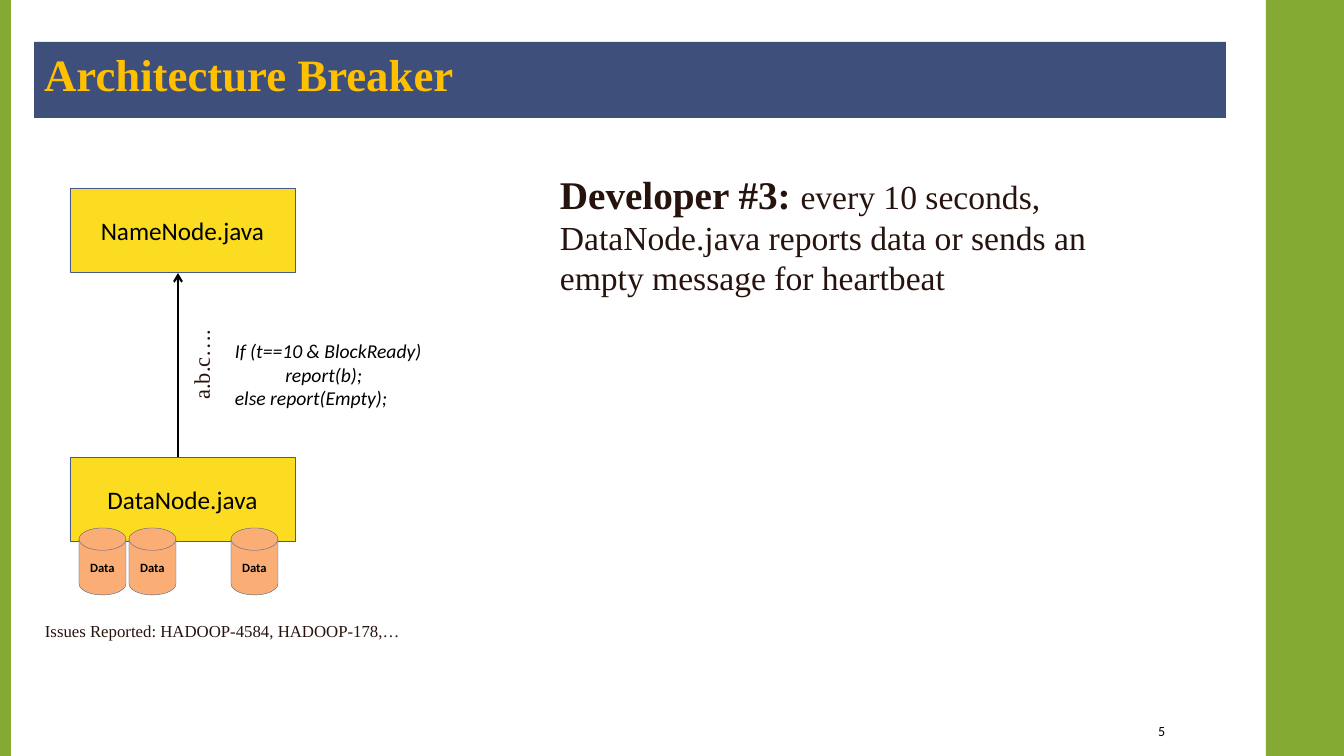
"""Builds the Architecture Breaker slide about heartbeat reports between two nodes."""
from lxml.etree import SubElement
from pptx import Presentation
from pptx.dml.color import RGBColor
from pptx.enum.shapes import MSO_CONNECTOR as Connector, MSO_SHAPE as Shape
from pptx.enum.text import MSO_ANCHOR as Anchor, MSO_AUTO_SIZE as AutoSize, PP_ALIGN as Align
from pptx.oxml.ns import qn
from pptx.util import Emu, Pt

SERIF, SANS = "Times New Roman", "Calibri"
BLACK, BROWN, GREEN, EDGE = "000000", "27130D", "84AA33", "475A8D"


def px(*lengths):
    return [Emu(round(length * 914400 / 100.8)) for length in lengths]


def write(para, text, size, face, hex_color, bold=False, italic=False):
    span = para.add_run()
    span.text = text
    span.font.size, span.font.name = Pt(size), face
    span.font.bold, span.font.italic = bold, italic
    span.font.color.rgb = RGBColor.from_string(hex_color)


deck = Presentation()
deck.slide_width, deck.slide_height = px(1344, 756)
page = deck.slides.add_slide(deck.slide_layouts[5])
shapes = page.shapes

title = shapes.title
title.left, title.top, title.width, title.height = px(34, 42, 1192, 76)
title.fill.solid()
title.fill.fore_color.rgb = RGBColor.from_string("3F4F7C")
title.text_frame.auto_size = AutoSize.NONE
title.text_frame.vertical_anchor = Anchor.TOP
title_para = title.text_frame.paragraphs[0]
title_para.alignment = Align.LEFT
write(title_para, "Architecture Breaker", 32, SERIF, "FFC000", bold=True)

blocks = [
    (Shape.RECTANGLE, (1266, 0, 78, 756), GREEN, "", 0),
    (Shape.RECTANGLE, (0, 0, 11, 756), GREEN, "", 0),
    (Shape.RECTANGLE, (70, 188, 225, 84), "FBDC21", "NameNode.java", 18),
    (Shape.RECTANGLE, (70, 457, 225, 84), "FBDC21", "DataNode.java", 18),
]
for left in (79, 129, 231):
    blocks.append((Shape.FLOWCHART_MAGNETIC_DISK, (left, 528, 47, 67), "FAAE76", "Data", 9))

for kind, place, fill, label, size in blocks:
    block = shapes.add_shape(kind, *px(*place))
    block.shadow.inherit = False
    block.fill.solid()
    block.fill.fore_color.rgb = RGBColor.from_string(fill)
    if not label:
        block.line.fill.background()
        continue
    block.line.color.rgb = RGBColor.from_string(EDGE)
    block.line.width = Pt(0.25)
    block.text_frame.word_wrap = False
    block.text_frame.vertical_anchor = Anchor.MIDDLE
    block_para = block.text_frame.paragraphs[0]
    block_para.alignment = Align.CENTER
    write(block_para, label, size, SANS, BLACK, bold=kind == Shape.FLOWCHART_MAGNETIC_DISK)

arrow = shapes.add_connector(Connector.STRAIGHT, *px(178, 457, 178, 273))
arrow.line.color.rgb = RGBColor.from_string(BLACK)
arrow.line.width = Pt(1.5)
SubElement(arrow.line._get_or_add_ln(), qn("a:tailEnd"), type="arrow")
SubElement(arrow._element.spPr, qn("a:effectLst"))

notes = [
    ((155, 345, 92, 37), False, [[("a.b.c….", 16, SERIF, BROWN)]]),
    ((225, 334, 215, 82), True, [
        [(line, 14, SANS, BLACK, False, True)]
        for line in ("If (t==10 & BlockReady)", "\treport(b);", "else report(Empty);")
    ]),
    ((550, 165, 558, 139), True, [[
        ("Developer #3: ", 28, SERIF, BROWN, True),
        ("every 10 seconds, DataNode.java reports data or sends an empty message for heartbeat",
         24, SERIF, BROWN),
    ]]),
    ((35, 616, 378, 30), False, [[("Issues Reported: HADOOP-4584, HADOOP-178,…", 12, SERIF, BROWN)]]),
    ((1066, 714, 109, 33), True, [[("5", 10, SANS, BLACK)]]),
]
boxes = []
for place, wrap, lines in notes:
    box = shapes.add_textbox(*px(*place))
    box.text_frame.word_wrap = wrap
    for index, spans in enumerate(lines):
        para = box.text_frame.add_paragraph() if index else box.text_frame.paragraphs[0]
        for span in spans:
            write(para, *span)
    boxes.append(box)

message_label, page_number = boxes[0], boxes[-1]
message_label.rotation = 270
page_number.text_frame.vertical_anchor = Anchor.MIDDLE
page_number.text_frame.paragraphs[0].alignment = Align.RIGHT

deck.save("out.pptx")
